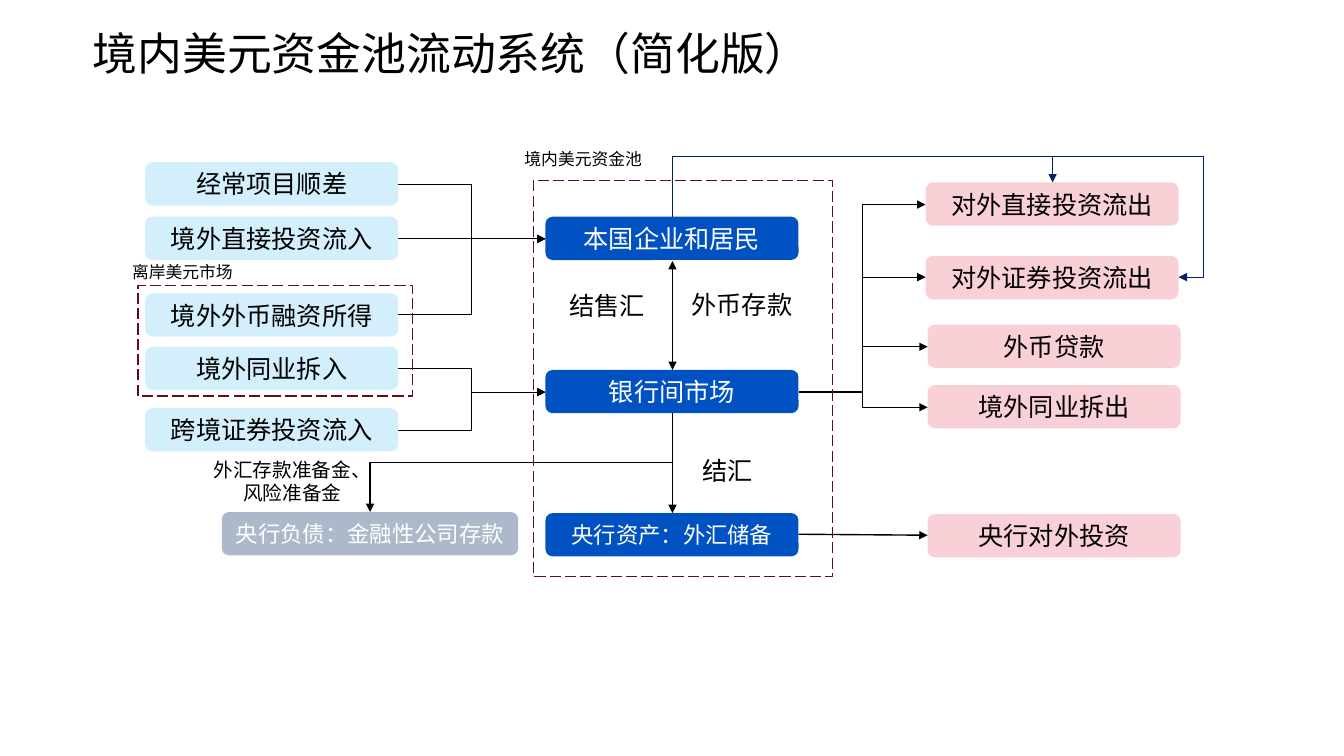
"""Build the onshore dollar pool flow diagram."""
from dataclasses import dataclass

from lxml import etree
from pptx import Presentation
from pptx import util as u
from pptx.dml.color import RGBColor
from pptx.enum import dml, shapes, text
from pptx.oxml.ns import qn

PX = 9144
FONT = "Noto Sans CJK SC"
BLACK, WHITE, NAVY, MAROON = "000000", "FFFFFF", "012069", "630B18"
BLUE, SKY, PINK, GREY = "0051C2", "D3EFFC", "FAD0D7", "ADB9CA"
BOX_W, BOX_H = 251, 43
IN_X, POOL_X, POOL_END, POOL_MID = 395, 541, 792, 667
IN_BEND, OUT_BEND, TOP_BEND = 468, 855, 155
FIRMS_Y, BANKS_Y = 237, 389


@dataclass
class Node:
    """A filled rounded box."""
    words: str
    x: int
    y: int
    fill: str
    size: int = 18
    color: str = BLACK
    w: int = BOX_W


@dataclass
class Label:
    """A piece of free text."""
    words: str
    x: int
    y: int
    w: int
    h: int
    size: int = 18
    centred: bool = True
    spacing: float = 1.0


@dataclass
class Flow:
    """An arrow; bends are the px positions of its turns, in order."""
    start: tuple[int, int]
    end: tuple[int, int]
    bends: tuple[int, ...] = ()
    vertical: bool = False
    color: str = BLACK
    width: float = 0.75
    both: bool = False


@dataclass
class Frame:
    """A dashed outline."""
    x: int
    y: int
    w: int
    h: int


NODES = [
    Node("本国企业和居民", POOL_X, 215, BLUE, color=WHITE),
    Node("银行间市场", POOL_X, 367, BLUE, color=WHITE),
    Node("央行资产：外汇储备", POOL_X, 509, BLUE, 16, WHITE),
    Node("央行负债：金融性公司存款", 220, 508, GREY, 16, WHITE, 294),
    Node("经常项目顺差", 144, 161, SKY),
    Node("境外直接投资流入", 144, 215, SKY),
    Node("境外外币融资所得", 144, 291, SKY),
    Node("境外同业拆入", 144, 344, SKY),
    Node("跨境证券投资流入", 144, 405, SKY),
    Node("对外直接投资流出", 918, 181, PINK),
    Node("对外证券投资流出", 918, 254, PINK),
    Node("外币贷款", 920, 322, PINK),
    Node("境外同业拆出", 920, 382, PINK),
    Node("央行对外投资", 920, 510, PINK),
]
INFLOWS = [(183, FIRMS_Y), (312, FIRMS_Y), (427, BANKS_Y), (366, BANKS_Y)]
OUTFLOWS = [(918, 203), (918, 275), (920, 344), (920, 404)]
FLOWS = [
    *(Flow((IN_X, y), (POOL_X, to), (IN_BEND,)) for y, to in INFLOWS),
    *(Flow((POOL_END, BANKS_Y), end, (OUT_BEND,)) for end in OUTFLOWS),
    Flow((IN_X, FIRMS_Y), (POOL_X, FIRMS_Y)),
    Flow((POOL_MID, 259), (POOL_MID, 367), both=True),
    Flow((POOL_MID, 410), (367, 508), (459,), True, width=1),
    Flow((POOL_MID, 215), (1169, 275), (TOP_BEND, 1194), True, NAVY),
    Flow((POOL_MID, 215), (1044, 181), (TOP_BEND,), True, NAVY),
    Flow((POOL_END, 530), (920, 531), width=1),
    Flow((POOL_MID, 410), (POOL_MID, 509), width=1),
]
FRAMES = [Frame(137, 283, 272, 110), Frame(529, 179, 297, 393)]
LABELS = [
    Label("境内美元资金池流动系统（简化版）", 82, 9, 773, 92, 32, False, 0.9),
    Label("结售汇", 555, 283, 96, 40, centred=False),
    Label("外币存款", 676, 282, 121, 40, centred=False),
    Label("结汇", 687, 447, 89, 40, centred=False),
    Label("外汇存款准备金、风险准备金", 198, 449, 184, 57, 14),
    Label("离岸美元市场", 114, 255, 134, 30, 12),
    Label("境内美元资金池", 502, 143, 153, 30, 12),
]


def px(*values: float) -> list[int]:
    """Turn px lengths into EMU."""
    return [round(v * PX) for v in values]


def rgb(color: str) -> RGBColor:
    """Turn a hex string into a colour."""
    return RGBColor.from_string(color)


def write(sp, words: str, size: int, color: str, centred: bool = True, spacing: float = 1.0) -> None:
    """Put one styled paragraph into a shape."""
    tf = sp.text_frame
    tf.word_wrap = True
    tf.vertical_anchor = text.MSO_ANCHOR.MIDDLE
    p = tf.paragraphs[0]
    p.text = words
    p.alignment = text.PP_ALIGN.CENTER if centred else text.PP_ALIGN.LEFT
    p.line_spacing = spacing
    p.font.size, p.font.name = u.Pt(size), FONT
    p.font.color.rgb = rgb(color)
    props = p._p.pPr.find(qn("a:defRPr"))
    etree.SubElement(props, qn("a:ea"), typeface=FONT)


def draw_node(s, node: Node) -> None:
    """Draw a filled box with its caption."""
    sp = s.shapes.add_shape(shapes.MSO_SHAPE.ROUNDED_RECTANGLE, *px(node.x, node.y, node.w, BOX_H))
    sp.shadow.inherit = False
    sp.fill.solid()
    sp.fill.fore_color.rgb = rgb(node.fill)
    sp.line.fill.background()
    write(sp, node.words, node.size, node.color)


def draw_label(s, label: Label) -> None:
    """Draw free text."""
    sp = s.shapes.add_textbox(*px(label.x, label.y, label.w, label.h))
    write(sp, label.words, label.size, BLACK, label.centred, label.spacing)


def draw_frame(s, frame: Frame) -> None:
    """Draw a dashed outline without fill."""
    sp = s.shapes.add_shape(shapes.MSO_SHAPE.RECTANGLE, *px(frame.x, frame.y, frame.w, frame.h))
    sp.shadow.inherit = False
    sp.fill.background()
    sp.line.color.rgb = rgb(MAROON)
    sp.line.width = u.Pt(1)
    sp.line.dash_style = dml.MSO_LINE.LONG_DASH


def draw_flow(s, flow: Flow) -> None:
    """Draw an arrow, quarter-turning the elbows that leave vertically."""
    (x1, y1), (x2, y2) = flow.start, flow.end
    cx, cy, dx, dy = (x1 + x2) / 2, (y1 + y2) / 2, (x2 - x1) / 2, (y2 - y1) / 2
    if flow.vertical:
        dx, dy = dy, -dx
    kind = shapes.MSO_CONNECTOR.ELBOW if flow.bends else shapes.MSO_CONNECTOR.STRAIGHT
    sp = s.shapes.add_connector(kind, *px(cx - dx, cy - dy, cx + dx, cy + dy))
    sp.line.color.rgb = rgb(flow.color)
    sp.line.width = u.Pt(flow.width)
    props = sp._element.spPr
    if flow.vertical:
        props.find(qn("a:xfrm")).set("rot", "5400000")
    if flow.bends:
        geom = props.find(qn("a:prstGeom"))
        geom.set("prst", f"bentConnector{len(flow.bends) + 2}")
        guides = geom.find(qn("a:avLst"))
        for i, bend in enumerate(flow.bends):
            axis = (i + flow.vertical) % 2
            share = (bend - flow.start[axis]) / (flow.end[axis] - flow.start[axis])
            etree.SubElement(guides, qn("a:gd"), name=f"adj{i + 1}", fmla=f"val {round(share * 100000)}")
    line = props.find(qn("a:ln"))
    for end in ("a:headEnd", "a:tailEnd") if flow.both else ("a:tailEnd",):
        etree.SubElement(line, qn(end), type="triangle")
    etree.SubElement(props, qn("a:effectLst"))


def main() -> None:
    """Build and save the slide."""
    prs = Presentation()
    prs.slide_width, prs.slide_height = px(1333, 750)
    s = prs.slides.add_slide(prs.slide_layouts[6])
    for draw, items in ((draw_node, NODES), (draw_flow, FLOWS), (draw_frame, FRAMES), (draw_label, LABELS)):
        for item in items:
            draw(s, item)
    prs.save("out.pptx")


if __name__ == "__main__":
    main()
